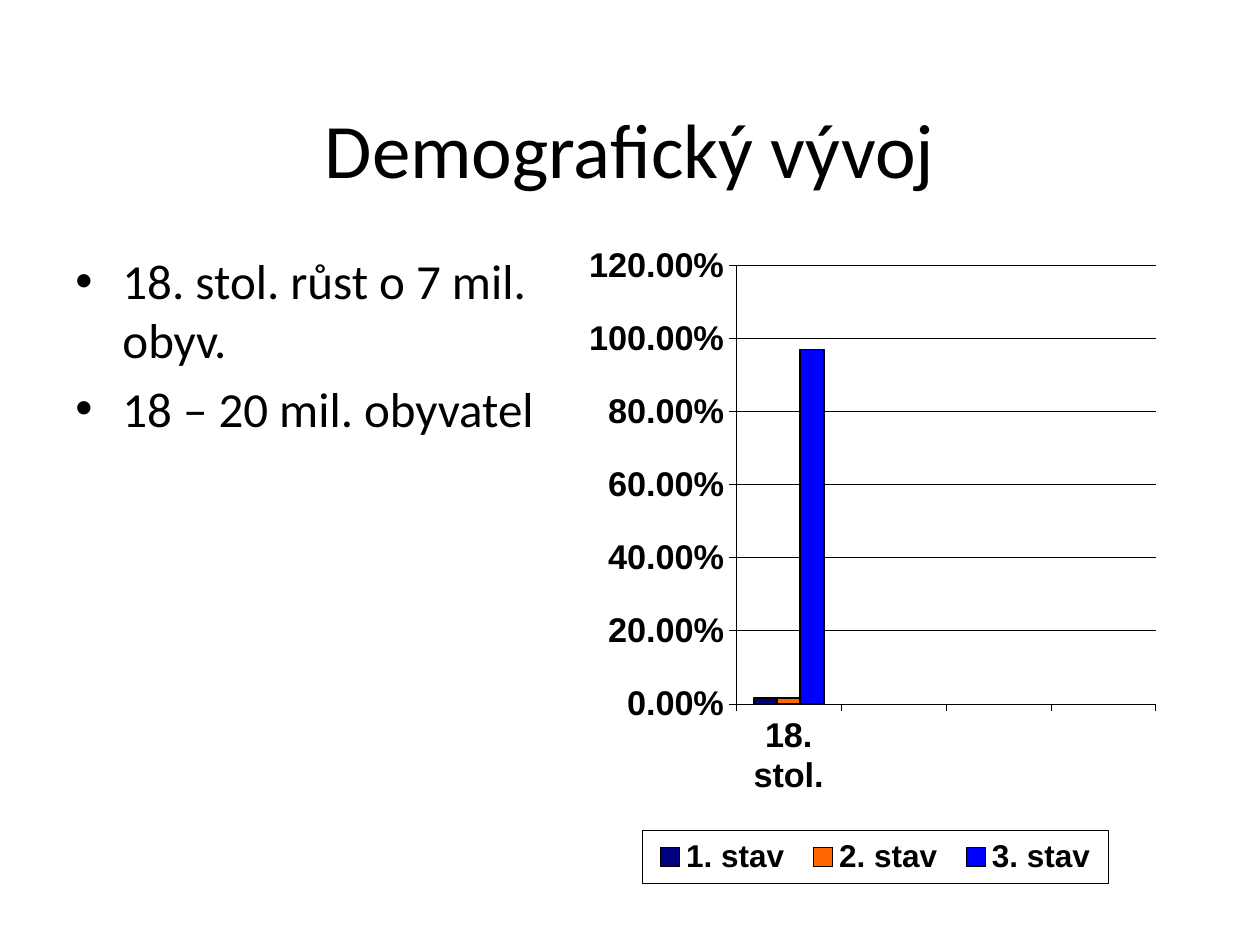
from lxml import etree
from pptx import Presentation
from pptx.chart.data import CategoryChartData
from pptx.dml.color import RGBColor
from pptx.enum.chart import XL_CHART_TYPE as ChartType, XL_LEGEND_POSITION as LegendPosition
from pptx.enum.chart import XL_TICK_LABEL_POSITION as LabelPosition, XL_TICK_MARK as TickMark
from pptx.enum.text import MSO_ANCHOR as Anchor, PP_ALIGN as Align
from pptx.oxml import parse_xml
from pptx.oxml.ns import nsdecls, qn
from pptx.util import Cm, Pt

COLORS = {"black": "000000", "navy": "000080", "orange": "FF6600", "blue": "0000FF"}
TITLE = "Demografický vývoj"
BULLETS = ["18. stol. růst o 7 mil. obyv.", "18 – 20 mil. obyvatel"]
CATEGORIES = ["18. stol.", "", "", ""]
SERIES = [
    ("1. stav", 0.015, "navy"),
    ("2. stav", 0.015, "orange"),
    ("3. stav", 0.97, "blue"),
]
TITLE_BOX = (1.27, 1.07, 22.86, 3.81)
BODY_BOX = (1.27, 4.93, 10.24, 4.19)
CHART_BOX = (11.63, 4.55, 11.91, 13.39)
PLOT_AREA = (0.27, 0.06, 0.71, 0.66)
LEGEND_AREA = (0.11, 0.91, 0.79, 0.08)
INDENT = Cm(0.95)


def rgb(name):
    return RGBColor.from_string(COLORS[name])


def style_font(font, name, size, bold=False):
    font.name, font.size, font.bold = name, Pt(size), bold
    font.color.rgb = rgb("black")


def style_line(line, width):
    line.color.rgb = rgb("black")
    line.width = Pt(width)


def add_text_frame(slide, box, anchor):
    frame = slide.shapes.add_textbox(*map(Cm, box)).text_frame
    frame.word_wrap = True
    frame.vertical_anchor = anchor
    return frame


def add_run(paragraph, text, size):
    run = paragraph.add_run()
    run.text = text
    style_font(run.font, "Calibri", size)


def add_bullet(paragraph):
    properties = paragraph._p.get_or_add_pPr()
    properties.set("marL", str(INDENT))
    properties.set("indent", str(-INDENT))
    etree.SubElement(properties, qn("a:buFont")).set("typeface", "Arial")
    etree.SubElement(properties, qn("a:buChar")).set("char", "•")


def manual_layout(area, inner=False):
    """Return a c:layout element for left, top, width and height fractions."""
    target = '<c:layoutTarget val="inner"/>' if inner else ""
    modes = '<c:xMode val="edge"/><c:yMode val="edge"/>'
    sizes = "".join(f'<c:{key} val="{value}"/>' for key, value in zip("xywh", area))
    return parse_xml(f'<c:layout {nsdecls("c")}><c:manualLayout>{target}{modes}{sizes}'
                     "</c:manualLayout></c:layout>")


def place_chart_parts(chart):
    plot_area = chart._chartSpace.find(".//" + qn("c:plotArea"))
    legend = chart._chartSpace.find(".//" + qn("c:legend"))
    for parent in (plot_area, legend):
        for layout in parent.findall(qn("c:layout")):
            parent.remove(layout)
    plot_area.insert(0, manual_layout(PLOT_AREA, inner=True))
    legend.find(qn("c:legendPos")).addnext(manual_layout(LEGEND_AREA))
    legend.find(qn("c:overlay")).addnext(parse_xml(
        f'<c:spPr {nsdecls("c", "a")}><a:ln w="3429"><a:solidFill>'
        f'<a:srgbClr val="{COLORS["black"]}"/></a:solidFill></a:ln></c:spPr>'))


def add_population_chart(slide):
    data = CategoryChartData(number_format="0.00%")
    data.categories = CATEGORIES
    for name, value, _ in SERIES:
        data.add_series(name, [value] + [None] * (len(CATEGORIES) - 1))
    chart = slide.shapes.add_chart(
        ChartType.COLUMN_CLUSTERED, *map(Cm, CHART_BOX), data).chart
    chart.has_title = False
    style_font(chart.font, "Arial", 19.6, True)

    plot = chart.plots[0]
    plot.vary_by_categories = False
    plot.gap_width, plot.overlap = 150, 0
    for series, (_, _, color) in zip(plot.series, SERIES):
        series.format.fill.solid()
        series.format.fill.fore_color.rgb = rgb(color)
        style_line(series.format.line, 1.09)

    for axis in (chart.category_axis, chart.value_axis):
        style_font(axis.tick_labels.font, "Arial", 19.6, True)
        style_line(axis.format.line, 0.27)
        axis.major_tick_mark, axis.minor_tick_mark = TickMark.OUTSIDE, TickMark.NONE
    chart.category_axis.tick_label_position = LabelPosition.LOW
    values = chart.value_axis
    values.minimum_scale, values.maximum_scale, values.major_unit = 0, 1.2, 0.2
    values.tick_labels.number_format = "0.00%"
    values.tick_labels.number_format_is_linked = False
    values.has_major_gridlines = True
    style_line(values.major_gridlines.format.line, 0.27)

    chart.has_legend = True
    chart.legend.position = LegendPosition.BOTTOM
    chart.legend.include_in_layout = False
    style_font(chart.legend.font, "Arial", 18, True)
    place_chart_parts(chart)


def main():
    presentation = Presentation()
    presentation.slide_width, presentation.slide_height = Cm(25.4), Cm(19.05)
    slide = presentation.slides.add_slide(presentation.slide_layouts[6])

    heading = add_text_frame(slide, TITLE_BOX, Anchor.MIDDLE).paragraphs[0]
    heading.alignment = Align.CENTER
    add_run(heading, TITLE, 44)

    body = add_text_frame(slide, BODY_BOX, Anchor.TOP)
    for index, text in enumerate(BULLETS):
        paragraph = body.add_paragraph() if index else body.paragraphs[0]
        paragraph.space_before = Pt(5.6)
        add_bullet(paragraph)
        add_run(paragraph, text, 28)

    add_population_chart(slide)
    presentation.save("out.pptx")


if __name__ == "__main__":
    main()
